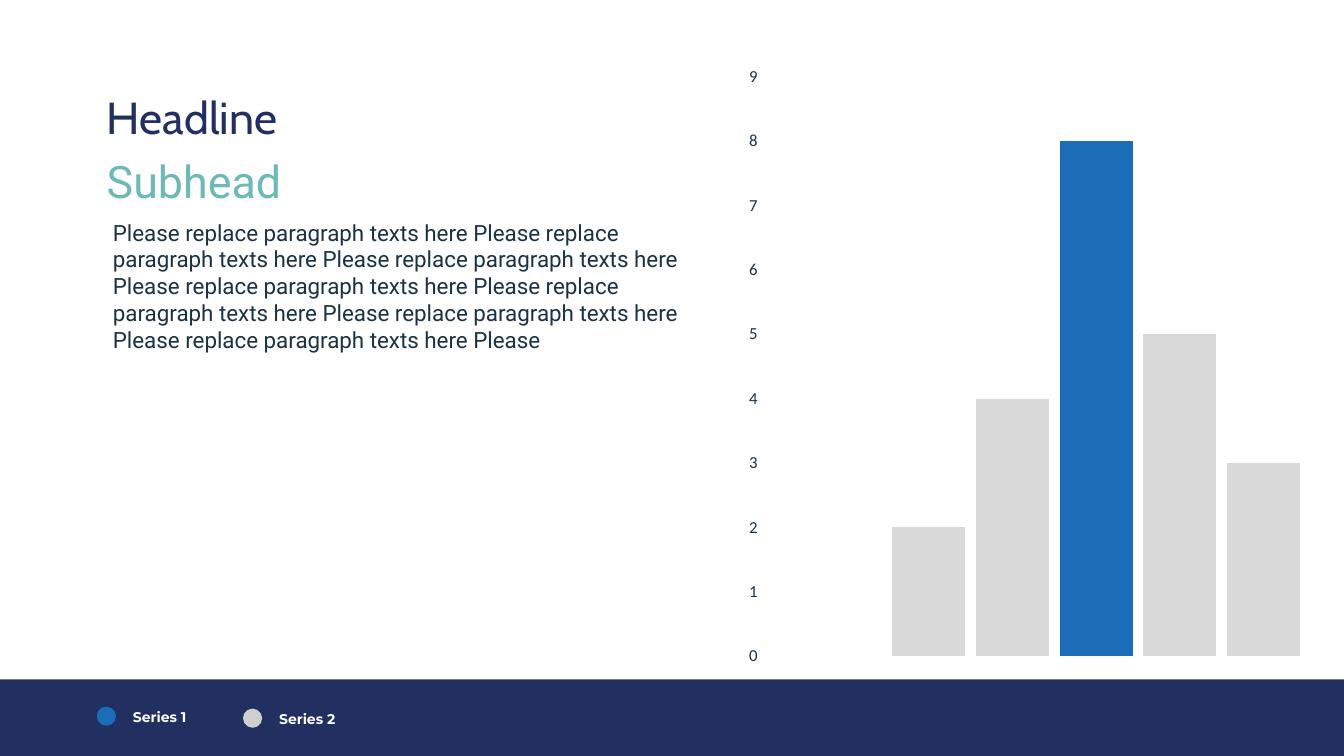
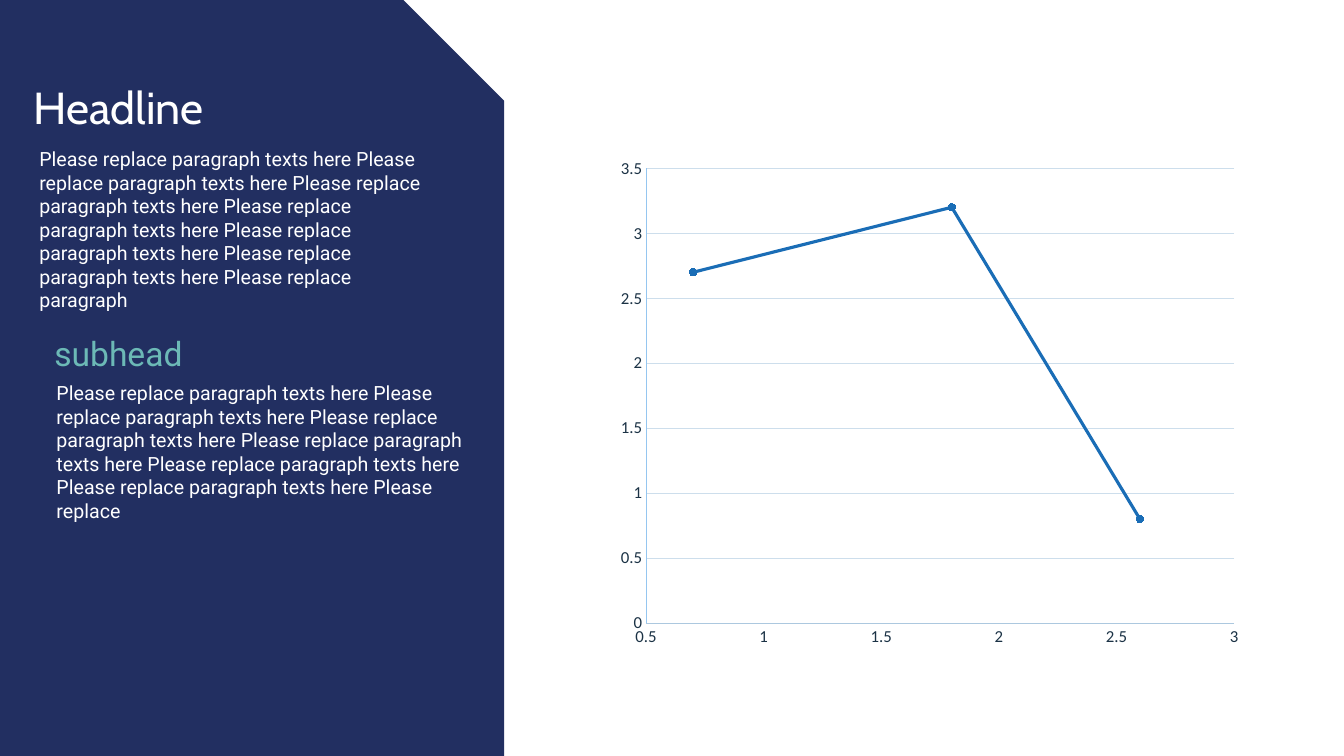
from dataclasses import dataclass

from pptx import Presentation
from pptx.chart.data import CategoryChartData, XyChartData
from pptx.dml.color import RGBColor
from pptx.enum.chart import XL_CHART_TYPE as ChartType
from pptx.enum.chart import XL_MARKER_STYLE as Marker
from pptx.enum.chart import XL_TICK_MARK as Tick
from pptx.enum.shapes import MSO_SHAPE as Shape
from pptx.enum.text import MSO_ANCHOR as Anchor
from pptx.enum.text import MSO_AUTO_SIZE as AutoSize
from pptx.enum.text import PP_ALIGN as Align
from pptx.util import Inches, Pt


@dataclass(frozen=True)
class Theme:
    navy: str = "222F61"
    blue: str = "1A6DB6"
    teal: str = "6CB9B6"
    ink: str = "1B3245"
    white: str = "FFFFFF"
    dot_gray: str = "D0CECE"
    bar_gray: str = "D9D9D9"
    x_line: str = "ACC8DF"
    y_line: str = "95C6F0"
    grid: str = "CDDEEC"
    head_font: str = "Cabin"
    body_font: str = "Roboto"
    legend_font: str = "Montserrat"
    chart_font: str = "Calibri"
    head_size: int = 32
    subhead_size: int = 24
    body_size: int = 16
    small_body_size: int = 14
    axis_size: int = 12
    legend_size: int = 10


THEME = Theme()
FILLER = "Please replace paragraph texts here"


def color(value):
    return RGBColor.from_string(value)


def filler(count, ending):
    return " ".join([FILLER] * count + [ending])


def set_values(target, values):
    for name, value in values.items():
        setattr(target, name, value)


def style_font(font, name, size, tint, bold=False):
    set_values(font, {"name": name, "size": Pt(size), "bold": bold})
    font.color.rgb = color(tint)


def fill_shape(shape, tint):
    shape.shadow.inherit = False
    shape.fill.solid()
    shape.fill.fore_color.rgb = color(tint)
    shape.line.fill.background()


# Text
def write(shape, text, font, indent=0):
    frame = shape.text_frame
    set_values(frame, {
        "word_wrap": True,
        "auto_size": AutoSize.SHAPE_TO_FIT_TEXT,
        "vertical_anchor": Anchor.TOP,
        "margin_left": Inches(0.1 + indent),
        "margin_right": Inches(0.1),
        "margin_top": Inches(0.05),
        "margin_bottom": Inches(0.05),
    })
    para = frame.paragraphs[0]
    para.alignment = Align.LEFT
    span = para.add_run()
    span.text = text
    style_font(span.font, *font)


def add_text(page, box, text, font, indent=0):
    shape = page.shapes.add_textbox(*map(Inches, box))
    write(shape, text, font, indent)


def add_headline(page, box, tint):
    title = page.shapes.title
    places = zip(("left", "top", "width", "height"), map(Inches, box))
    set_values(title, dict(places))
    write(title, "Headline", (THEME.head_font, THEME.head_size, tint))
    # Bring the headline in front of the panel
    title.element.getparent().append(title.element)


def add_body(page, box, text, size, tint):
    add_text(page, box, text, (THEME.body_font, size, tint), indent=0.06)


# Bands and panels
def add_legend_band(page, box, entries):
    left, top, _, _ = box
    band = page.shapes.add_shape(Shape.RECTANGLE, *map(Inches, box))
    fill_shape(band, THEME.navy)
    dot_size = 0.19
    font = (THEME.legend_font, THEME.legend_size, THEME.white, True)
    for label, tint, across, down in entries:
        x, y = left + across, top + down
        dot = page.shapes.add_shape(
            Shape.OVAL, *map(Inches, (x, y, dot_size, dot_size)))
        fill_shape(dot, tint)
        add_text(page, (x + 0.26, y - 0.03, 1.09, 0.27), label, font)


def add_cut_panel(page, box):
    left, top, width, height = box
    right, bottom = left + width, top + height
    builder = page.shapes.build_freeform(left, top + 0.01, scale=Inches(1))
    builder.add_line_segments([
        (right - 0.59, top), (right - 0.02, top + 0.56),
        (right, bottom), (left, bottom),
    ])
    fill_shape(builder.convert_to_shape(), THEME.navy)


# Charts
def add_chart(page, box, kind, data):
    chart = page.shapes.add_chart(kind, *map(Inches, box), data).chart
    set_values(chart, {"has_legend": False, "has_title": False})
    style_font(chart.font, THEME.chart_font, THEME.legend_size, THEME.ink)
    chart.plots[0].vary_by_categories = False
    return chart


def style_axis(axis, low, high, step, line=None, grid=None):
    set_values(axis, {
        "minimum_scale": low,
        "maximum_scale": high,
        "major_unit": step,
        "major_tick_mark": Tick.NONE,
        "minor_tick_mark": Tick.NONE,
        "has_major_gridlines": grid is not None,
    })
    labels = axis.tick_labels
    set_values(labels, {"number_format": "General",
                        "number_format_is_linked": False})
    style_font(labels.font, THEME.chart_font, THEME.axis_size, THEME.ink)
    if line:
        style_line(axis.format.line, line, 0.75)
    else:
        axis.format.line.fill.background()
    if grid:
        style_line(axis.major_gridlines.format.line, grid, 0.75)


def style_line(line, tint, width):
    line.color.rgb = color(tint)
    line.width = Pt(width)


def add_column_chart(page, box, values, highlight):
    data = CategoryChartData()
    data.categories = ["1"]
    for number, value in enumerate(values, 1):
        data.add_series(f"Series {number}", [value])
    chart = add_chart(page, box, ChartType.COLUMN_CLUSTERED, data)
    chart.category_axis.visible = False
    style_axis(chart.value_axis, 0, 9, 1)
    plot = chart.plots[0]
    set_values(plot, {"gap_width": 359, "overlap": -15})
    for index, series in enumerate(plot.series):
        series.format.fill.solid()
        tint = THEME.blue if index == highlight else THEME.bar_gray
        series.format.fill.fore_color.rgb = color(tint)


def add_curve_chart(page, box, points):
    data = XyChartData()
    curve = data.add_series("Series 1")
    for x, y in points:
        curve.add_data_point(x, y)
    chart = add_chart(page, box, ChartType.XY_SCATTER_SMOOTH, data)
    style_axis(chart.category_axis, 0.5, 3, 0.5, THEME.x_line)
    style_axis(chart.value_axis, 0, 3.5, 0.5, THEME.y_line, THEME.grid)
    series = chart.plots[0].series[0]
    series.smooth = True
    style_line(series.format.line, THEME.blue, 2.25)
    marker = series.marker
    set_values(marker, {"style": Marker.CIRCLE, "size": 5})
    marker.format.fill.solid()
    marker.format.fill.fore_color.rgb = color(THEME.blue)
    marker.format.line.color.rgb = color(THEME.blue)


# Slides
def add_page(deck):
    title_only = deck.slide_layouts[5]
    return deck.slides.add_slide(title_only)


def build_column_slide(deck):
    page = add_page(deck)
    add_legend_band(page, (0, 6.74, 13.33, 0.76), [
        ("Series 1", THEME.blue, 0.96, 0.27),
        ("Series 2", THEME.dot_gray, 2.41, 0.29),
    ])
    add_column_chart(page, (7.29, 0.54, 7.04, 6.19), [2, 4, 8, 5, 3], 2)
    add_headline(page, (0.96, 0.84, 3.12, 0.64), THEME.navy)
    add_text(page, (0.96, 1.48, 4.58, 0.64), "Subhead",
             (THEME.body_font, THEME.head_size, THEME.teal))
    add_body(page, (0.96, 2.12, 6.15, 1.45), filler(7, "Please"),
             THEME.body_size, THEME.ink)


def build_curve_slide(deck):
    page = add_page(deck)
    add_curve_chart(page, (6.03, 1.47, 6.38, 5.05),
                    [(0.7, 2.7), (1.8, 3.2), (2.6, 0.8)])
    add_cut_panel(page, (0, 0, 5, 7.5))
    add_headline(page, (0.23, 0.74, 6, 0.64), THEME.white)
    add_body(page, (0.23, 1.41, 4.17, 1.51),
             filler(6, "Please replace paragraph"),
             THEME.small_body_size, THEME.white)
    add_text(page, (0.44, 3.25, 3.31, 0.5), "subhead",
             (THEME.body_font, THEME.subhead_size, THEME.teal))
    add_body(page, (0.4, 3.73, 4.49, 1.28), filler(6, "Please replace"),
             THEME.small_body_size, THEME.white)


def main():
    deck = Presentation()
    set_values(deck, {"slide_width": Inches(13.33),
                      "slide_height": Inches(7.5)})
    build_column_slide(deck)
    build_curve_slide(deck)
    deck.save("out.pptx")


if __name__ == "__main__":
    main()
